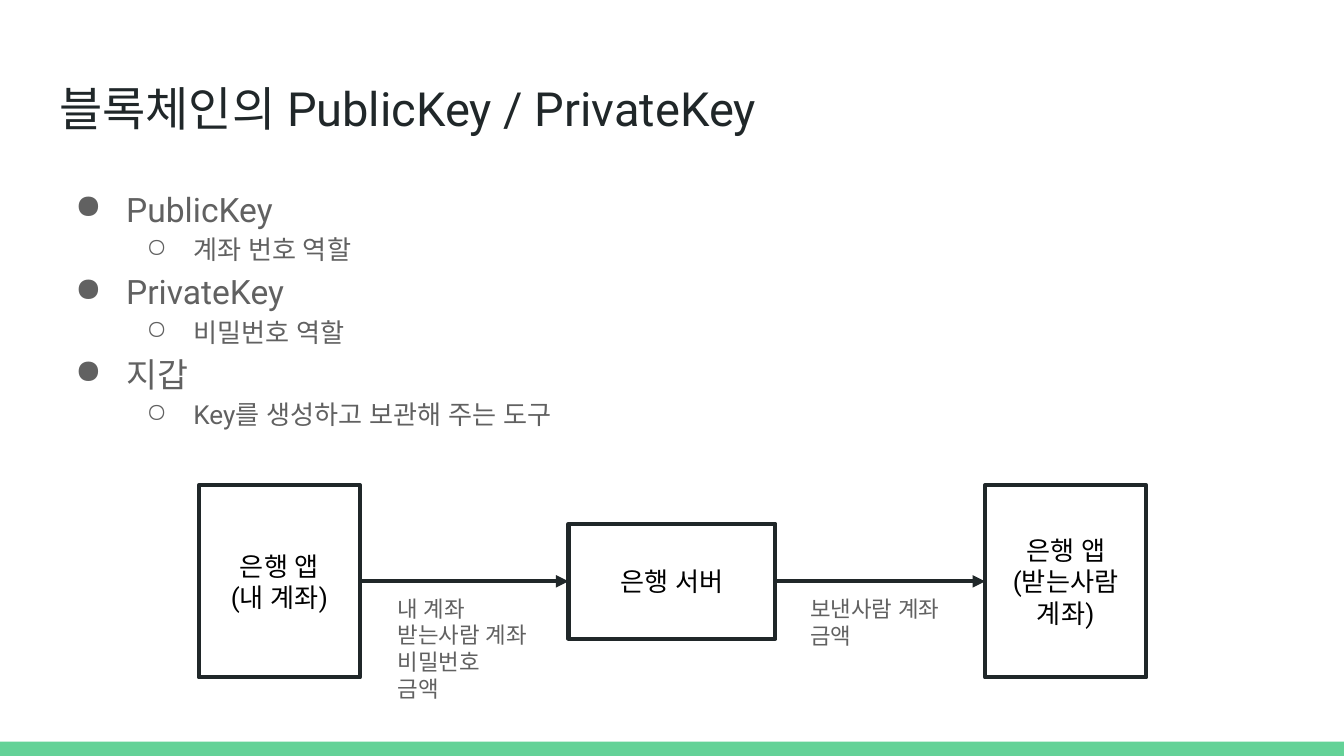
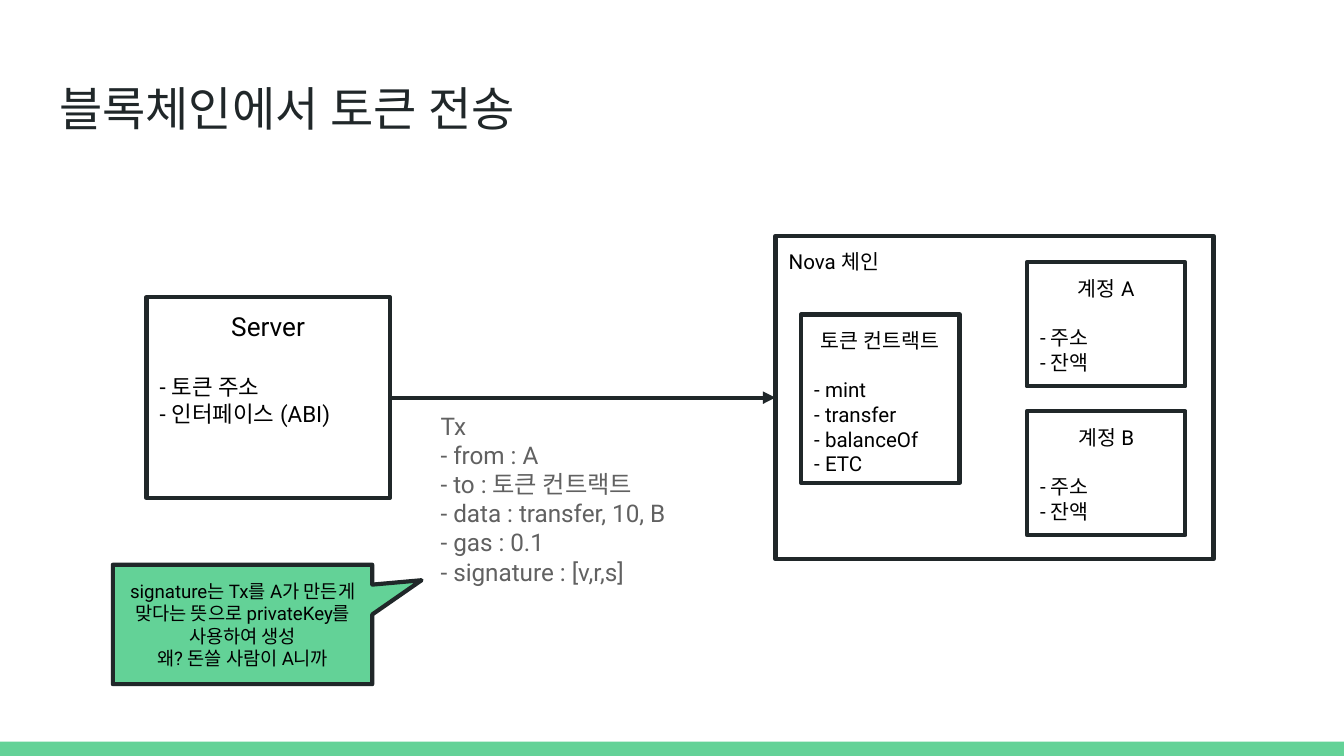
from dataclasses import dataclass

from lxml import etree
from pptx import Presentation, util as u
from pptx.dml.color import RGBColor
from pptx.enum import shapes, text
from pptx.oxml.ns import qn


@dataclass(frozen=True)
class Theme:
    font: str = "Roboto"
    ink: RGBColor = RGBColor(0x20, 0x27, 0x29)
    grey: RGBColor = RGBColor(0x61, 0x61, 0x61)
    black: RGBColor = RGBColor(0, 0, 0)
    green: RGBColor = RGBColor(0x63, 0xD2, 0x97)
    title: float = 25.2
    topic: int = 18
    large: int = 14
    message: int = 13
    medium: int = 12
    small: int = 11
    note: int = 10
    line: float = 2.25


theme = Theme()
LEFT, CENTER = text.PP_ALIGN.LEFT, text.PP_ALIGN.CENTER
TOP, MIDDLE = text.MSO_ANCHOR.TOP, text.MSO_ANCHOR.MIDDLE
RECT = shapes.MSO_SHAPE.RECTANGLE
LEFT_SIDE, RIGHT_SIDE = 1, 3

prs = Presentation()
prs.slide_width, prs.slide_height = u.Inches(10), u.Inches(5.625)
COL, ROW = prs.slide_width / 100, prs.slide_height / 100
layout = prs.slide_layouts[5]


def write(shape, lines, size, color=theme.black, align=LEFT, anchor=TOP):
    """Fill the shape with one paragraph per line."""
    frame = shape.text_frame
    frame.word_wrap = True
    frame.auto_size = text.MSO_AUTO_SIZE.NONE
    frame.vertical_anchor = anchor
    frame.margin_left = frame.margin_right = u.Inches(0.1)
    frame.margin_top = frame.margin_bottom = u.Inches(0.1)
    for i, line in enumerate(lines):
        paragraph = frame.add_paragraph() if i else frame.paragraphs[0]
        paragraph.alignment = align
        run = paragraph.add_run()
        run.text = line
        run.font.size = u.Pt(size)
        run.font.name = theme.font
        run.font.color.rgb = color
        etree.SubElement(run._r.get_or_add_rPr(), qn("a:ea"), typeface=theme.font)
    return frame.paragraphs


def block(slide, place, preset=None, fill=None):
    """Add an outlined shape, or a text box without a preset, at columns and rows."""
    left, top, width, height = place
    spot = [round(n) for n in (left * COL, top * ROW, width * COL, height * ROW)]
    if preset is None:
        return slide.shapes.add_textbox(*spot)
    shape = slide.shapes.add_shape(preset, *spot)
    shape.shadow.inherit = False
    shape.line.color.rgb = theme.ink
    shape.line.width = u.Pt(theme.line)
    if fill is None:
        shape.fill.background()
    else:
        shape.fill.solid()
        shape.fill.fore_color.rgb = fill
    return shape


# Titles, and the green band that the layout carries
keys, transfer = prs.slides.add_slide(layout), prs.slides.add_slide(layout)
for slide, heading in ((keys, "블록체인의 PublicKey / PrivateKey"),
                       (transfer, "블록체인에서 토큰 전송")):
    title = slide.shapes.title
    title.left, title.width = round(3.4 * COL), round(93.2 * COL)
    title.top, title.height = round(8.7 * ROW), round(11.2 * ROW)
    write(title, [heading], theme.title, theme.ink)

band = block(keys, (0, 98.1, 100, 1.9), RECT, theme.green)
band.line.fill.background()
layout.shapes.element.append(band.element)

# Slide 1: what each key does
roles = [
    ("PublicKey", "계좌 번호 역할"),
    ("PrivateKey", "비밀번호 역할"),
    ("지갑", "Key를 생성하고 보관해 주는 도구"),
]
outline = block(keys, (3.4, 22.4, 93.2, 66.5))
paragraphs = write(outline, [line for pair in roles for line in pair],
                   theme.topic, theme.grey)
for i, paragraph in enumerate(paragraphs):
    level = i % 2
    paragraph.level = level
    paragraph.line_spacing = 1.15
    paragraph.runs[0].font.size = u.Pt((theme.topic, theme.large)[level])
    props = paragraph._p.get_or_add_pPr()
    props.set("marL", str(u.Inches((0.5, 1)[level])))
    props.set("indent", str(-u.Inches((0.38, 0.35)[level])))
    etree.SubElement(props, qn("a:buChar"), char="●○"[level])

# Slide 1: a bank transfer
bank = []
for place, lines in (
    ((14.8, 64.2, 12, 25.4), ["은행 앱", "(내 계좌)"]),
    ((42.3, 69.3, 15.4, 15.2), ["은행 서버"]),
    ((73.3, 64.2, 12, 25.4), ["은행 앱", "(받는사람", "계좌)"]),
):
    bank.append(block(keys, place, RECT))
    write(bank[-1], lines, theme.large, align=CENTER, anchor=MIDDLE)

for place, lines in (
    ((28.6, 76.9, 14.8, 18), ["내 계좌", "받는사람 계좌", "비밀번호", "금액"]),
    ((59.3, 76.9, 14.8, 10.8), ["보낸사람 계좌", "금액"]),
):
    write(block(keys, place), lines, theme.medium, theme.grey)

# Slide 2: the server and the chain with its contract and accounts
chain = block(transfer, (57.7, 31.2, 32.6, 42.8), RECT)
write(chain, ["Nova 체인"], theme.small)

server = block(transfer, (10.9, 39.3, 18.1, 26.6), RECT)
contract = block(transfer, (59.6, 41.6, 11.8, 22.3), RECT)
accounts = [block(transfer, (76.4, top, 11.8, 16.4), RECT) for top in (34.7, 54.4)]
for part, name, items, name_size, item_size in (
    (server, "Server", ["토큰 주소", "인터페이스 (ABI)"], theme.large, theme.medium),
    (contract, "토큰 컨트랙트", ["mint", "transfer", "balanceOf", "ETC"],
     theme.small, theme.small),
    (accounts[0], "계정 A", ["주소", "잔액"], theme.small, theme.small),
    (accounts[1], "계정 B", ["주소", "잔액"], theme.small, theme.small),
):
    lines = [name] + [f"- {item}" for item in items]
    header = write(part, lines, item_size)[0]
    header.alignment = CENTER
    header.space_after = u.Pt(1.2 * name_size)
    header.runs[0].font.size = u.Pt(name_size)

# Slide 2: the transaction and the remark on its signature
transaction = ["Tx", "- from : A", "- to : 토큰 컨트랙트", "- data : transfer, 10, B",
               "- gas : 0.1", "- signature : [v,r,s]"]
write(block(transfer, (31.8, 52.6, 25.1, 27)), transaction, theme.message, theme.grey)

remark = block(transfer, (8.4, 74.7, 19.3, 15.8),
               shapes.MSO_SHAPE.ROUNDED_RECTANGULAR_CALLOUT, theme.green)
for i, value in enumerate((0.69, -0.37, 0)):
    remark.adjustments[i] = value
write(remark, ["signature는 Tx를 A가 만든게 맞다는 뜻으로 privateKey를 사용하여 생성",
               "왜? 돈쓸 사람이 A니까"], theme.note, align=CENTER, anchor=MIDDLE)

# Arrows on both slides
for slide, sender, receiver in ((keys, bank[0], bank[1]), (keys, bank[1], bank[2]),
                                (transfer, server, chain)):
    arrow = slide.shapes.add_connector(shapes.MSO_CONNECTOR.STRAIGHT, 0, 0, 0, 0)
    arrow.begin_connect(sender, RIGHT_SIDE)
    arrow.end_connect(receiver, LEFT_SIDE)
    arrow.line.color.rgb = theme.ink
    arrow.line.width = u.Pt(theme.line)
    etree.SubElement(arrow.line._get_or_add_ln(), qn("a:tailEnd"), type="triangle")
    etree.SubElement(arrow.element.spPr, qn("a:effectLst"))

prs.save("out.pptx")
